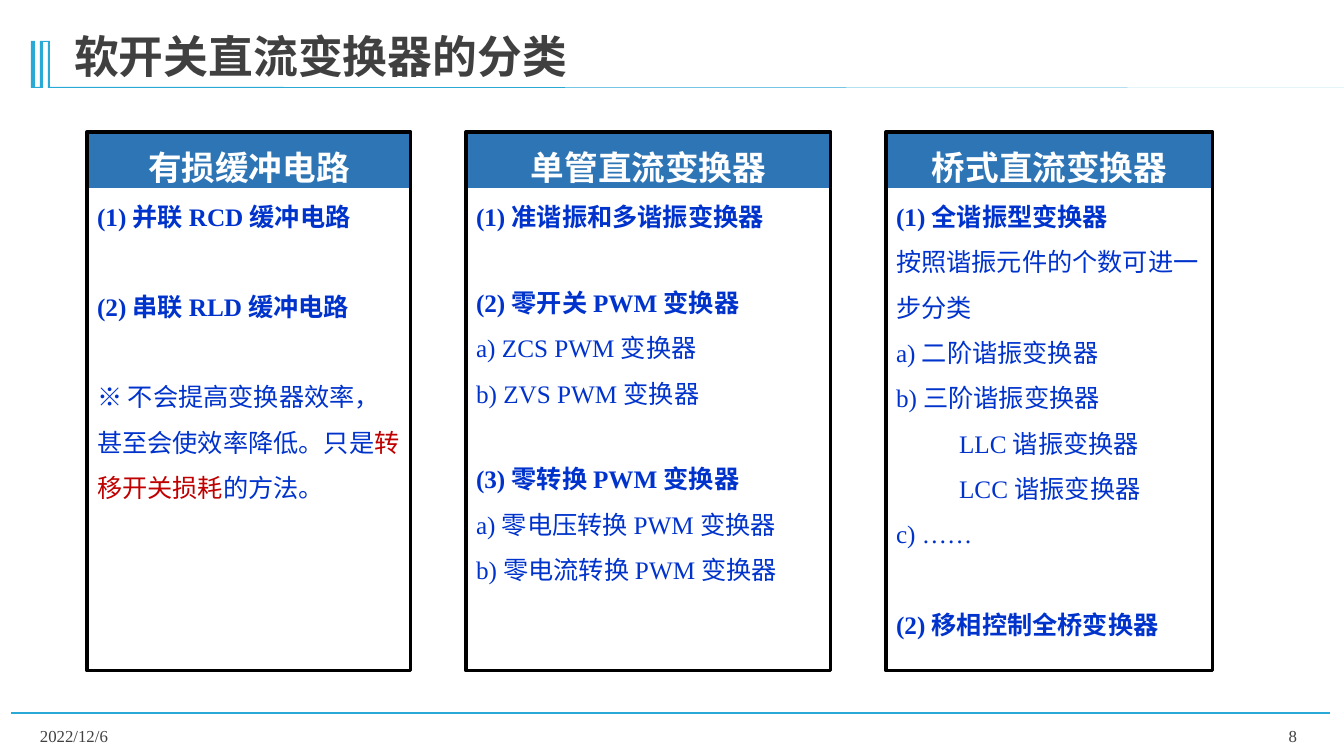
from pptx import Presentation
from pptx.dml.color import RGBColor as Rgb
from pptx.enum.shapes import MSO_CONNECTOR as Conn, MSO_SHAPE as Form
from pptx.enum.text import MSO_ANCHOR as Anchor, MSO_AUTO_SIZE as Auto, PP_ALIGN as Align
from pptx.oxml.ns import qn
from pptx.util import Pt
from lxml.etree import SubElement as Sub

SCALE = 914400 / 100.8
HUES = {"cyan": "28A9D6", "gray": "404040", "blue": "0033CC", "red": "C00000",
        "head": "2E75B6", "white": "FFFFFF", "black": "000000"}
SANS, SERIF = "Noto Sans CJK SC", "Times New Roman"


def px(*nums):
    return [round(n * SCALE) for n in nums]


def write(shape, rows, font, size, hue, align=Align.LEFT, line=1.0, anchor=Anchor.TOP):
    frame = shape.text_frame
    look = {"word_wrap": True, "auto_size": Auto.NONE, "vertical_anchor": anchor}
    for key, val in look.items():
        setattr(frame, key, val)
    for num, (text, bold, gap, inset) in enumerate(rows):
        para = frame.add_paragraph() if num else frame.paragraphs[0]
        look = {"alignment": align, "line_spacing": line,
                "space_before": Pt(gap), "space_after": Pt(0)}
        for key, val in look.items():
            setattr(para, key, val)
        props = para._p.get_or_add_pPr()
        props.set("marL", str(px(inset)[0]))
        props.set("indent", "0")
        Sub(props, qn("a:buNone"))
        for part, words in enumerate(text.split("|")):
            run = para.add_run()
            run.text = words
            look = {"name": font, "size": Pt(size), "bold": bold}
            for key, val in look.items():
                setattr(run.font, key, val)
            run.font.color.rgb = Rgb.from_string(HUES["red" if part % 2 else hue])
            Sub(run._r.get_or_add_rPr(), qn("a:ea"), typeface=SANS)


deck = Presentation()
deck.slide_width, deck.slide_height = px(1344, 756)
slide = deck.slides.add_slide(deck.slide_layouts[4])
shapes = slide.shapes
title, *lists, spare = slide.placeholders
spare.element.getparent().remove(spare.element)

rule = shapes.add_connector(Conn.STRAIGHT, *px(11, 713, 1330, 713))
rule.line.color.rgb = Rgb.from_string(HUES["cyan"])
rule.line.width = Pt(1.25)
Sub(rule.element.spPr, qn("a:effectLst"))

edge = [(50, 87), (183, 87), (1344, 88), (48, 88), (48, 42), (43, 42),
        (43, 88), (31, 88), (31, 41), (35, 41), (35, 87), (40, 87), (40, 41)]
pen = shapes.build_freeform(50, 41, scale=SCALE)
pen.add_line_segments(edge, close=True)
mark = pen.convert_to_shape()
mark.shadow.inherit = False
mark.fill.solid()
mark.fill.fore_color.rgb = Rgb.from_string(HUES["cyan"])
mark.line.fill.background()

for text, left, align in [("2022/12/6", 30, Align.LEFT), ("8", 994, Align.RIGHT)]:
    foot = shapes.add_textbox(*px(left, 719, 313, 34))
    write(foot, [(text, False, 0, 0)], SERIF, 12, "gray", align, anchor=Anchor.MIDDLE)

title.left, title.top, title.width, title.height = px(64, 30, 663, 63)
write(title, [("软开关直流变换器的分类", True, 0, 0)], SANS, 32, "gray", line=0.9)

groups = [
    ("有损缓冲电路", 87, 324, [
        ("(1) 并联 RCD 缓冲电路", True, 0, 0),
        ("(2) 串联 RLD 缓冲电路", True, 32, 0),
        ("※ 不会提高变换器效率，甚至会使效率降低。只是|转移开关损耗|的方法。", False, 32, 0)]),
    ("单管直流变换器", 466, 365, [
        ("(1) 准谐振和多谐振变换器", True, 0, 0),
        ("(2) 零开关 PWM 变换器", True, 29, 0),
        ("a) ZCS PWM 变换器", False, 0, 0),
        ("b) ZVS PWM 变换器", False, 0, 0),
        ("(3) 零转换 PWM 变换器", True, 29, 0),
        ("a) 零电压转换 PWM 变换器", False, 0, 0),
        ("b) 零电流转换 PWM 变换器", False, 0, 0)]),
    ("桥式直流变换器", 886, 327, [
        ("(1) 全谐振型变换器", True, 0, 0),
        ("按照谐振元件的个数可进一步分类", False, 0, 0),
        ("a) 二阶谐振变换器", False, 0, 0),
        ("b) 三阶谐振变换器", False, 0, 0),
        ("LLC 谐振变换器", False, 0, 63),
        ("LCC 谐振变换器", False, 0, 63),
        ("c) ……", False, 0, 0),
        ("(2) 移相控制全桥变换器", True, 32, 0)]),
]
for body, (name, left, width, rows) in zip(lists, groups):
    body.left, body.top, body.width, body.height = px(left, 181, width, 463)
    write(body, rows, SERIF, 18, "blue", line=1.5)

    head = shapes.add_shape(Form.RECTANGLE, *px(left, 132, width, 56))
    head.fill.solid()
    head.fill.fore_color.rgb = Rgb.from_string(HUES["head"])
    head.line.fill.background()
    write(head, [(name, True, 3, 0)], SANS, 24, "white", Align.CENTER, 1.25)

    box = shapes.add_shape(Form.RECTANGLE, *px(left, 132, width, 539))
    box.fill.background()
    box.line.color.rgb = Rgb.from_string(HUES["black"])
    box.line.width = Pt(2.25)
    for item in (head, box):
        item.shadow.inherit = False

deck.save("out.pptx")
